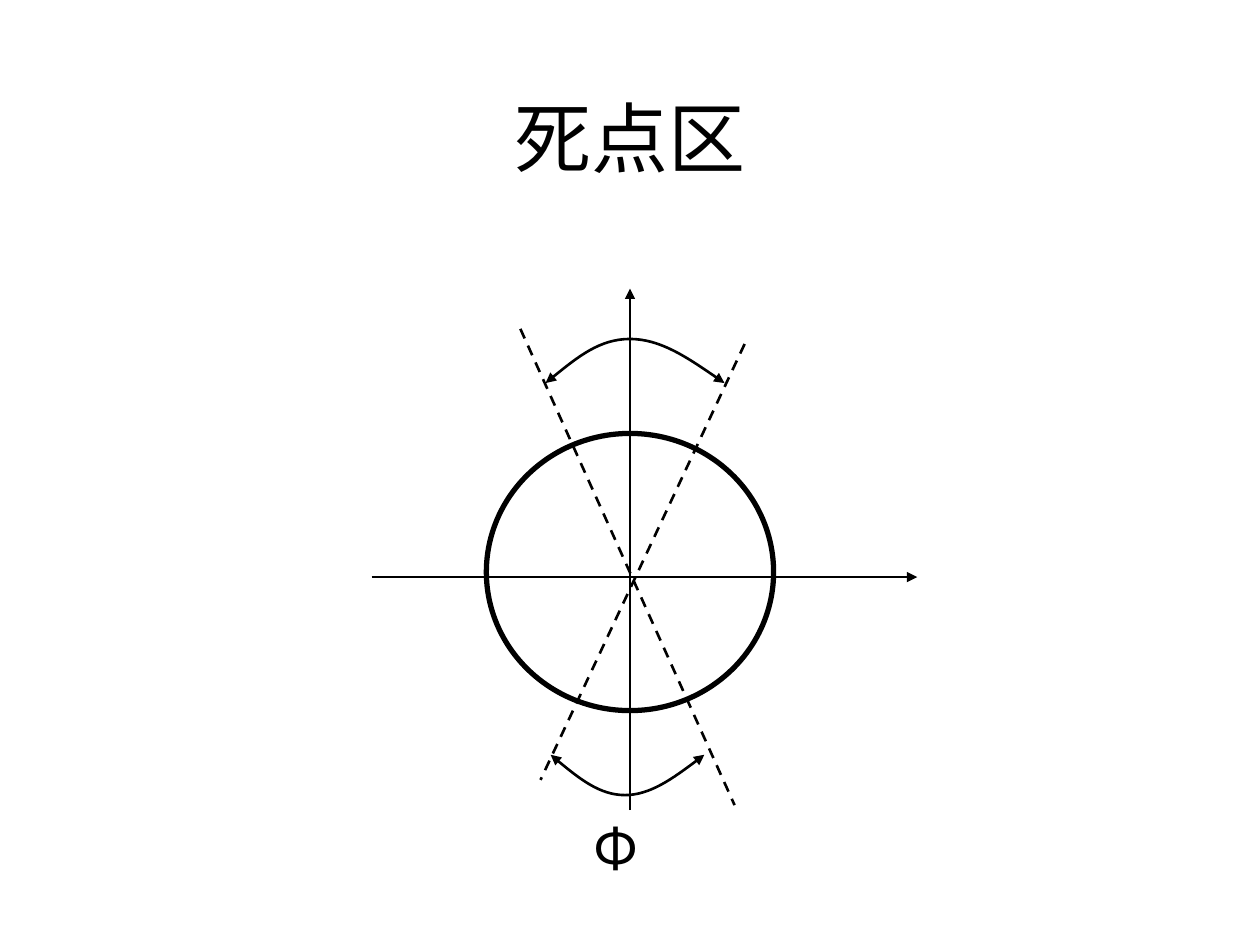
"""Draw the dead-point zone of a crank circle on a grid of 100 columns by 75 rows."""
from lxml import etree
from pptx import Presentation, util as u
from pptx.dml.color import RGBColor
from pptx.enum import dml, shapes, text
from pptx.oxml.ns import qn

BLACK = RGBColor(0, 0, 0)
WHITE = RGBColor(255, 255, 255)

deck = Presentation()
deck.slide_width, deck.slide_height = u.Inches(10), u.Inches(7.5)
unit = deck.slide_width // 100
slide = deck.slides.add_slide(deck.slide_layouts[6])
parts = slide.shapes


def grid(*cells):
    return [round(cell * unit) for cell in cells]


def stroke(shape, ends=(), width=1.5):
    shape.line.color.rgb = BLACK
    shape.line.width = u.Pt(width)
    for end in ends:
        etree.SubElement(shape.line._get_or_add_ln(), qn(f"a:{end}"), type="triangle")


title = parts.add_textbox(*grid(7.5, 6.7, 85, 12.5)).text_frame
title.word_wrap = True
head = title.paragraphs[0]
head.text = "死点区"
head.alignment = text.PP_ALIGN.CENTER
head.font.size, head.font.name = u.Pt(44), "Calibri"
head.font.color.rgb = BLACK

wheel = parts.add_shape(shapes.MSO_SHAPE.OVAL, *grid(38.6, 34.4, 22.8, 22))
wheel.shadow.inherit = False
wheel.fill.solid()
wheel.fill.fore_color.rgb = WHITE
stroke(wheel, width=3)

lines = [
    ((50, 64.3, 50, 22.9), True),
    ((29.5, 45.8, 72.8, 45.8), True),
    ((59.1, 27.3, 42.9, 61.9), False),
    ((41.3, 26.1, 58.3, 63.9), False),
]
for ends, axis in lines:
    line = parts.add_connector(shapes.MSO_CONNECTOR.STRAIGHT, *grid(*ends))
    stroke(line, ["tailEnd"] if axis else [])
    if not axis:
        line.line.dash_style = dml.MSO_LINE.DASH
    etree.SubElement(line._element.spPr, qn("a:effectLst"))

arcs = [
    [(43.3, 30.4), (45.5, 28.6), (47.6, 26.9), (50, 26.9),
     (52.4, 26.9), (54.9, 28.6), (57.5, 30.4)],
    [(43.7, 59.9), (45.6, 61.5), (47.6, 63.1), (49.6, 63.1),
     (51.6, 63.1), (53.8, 61.5), (55.9, 59.9)],
]
for points in arcs:
    pen = parts.build_freeform(*grid(*points[0]))
    pen.add_line_segments([grid(*point) for point in points[1:]], close=False)
    arc = pen.convert_to_shape()
    arc.shadow.inherit = False
    arc.fill.background()
    stroke(arc, ["headEnd", "tailEnd"])
    track = arc._element.find(".//" + qn("a:path"))
    steps = track.findall(qn("a:lnTo"))
    for start in (0, 3):
        curve = etree.SubElement(track, qn("a:cubicBezTo"))
        for step in steps[start:start + 3]:
            curve.append(step[0])
            track.remove(step)

label = parts.add_shape(shapes.MSO_SHAPE.RECTANGLE, *grid(46.1, 65.1, 7.9, 4.3))
label.shadow.inherit = False
label.fill.solid()
label.fill.fore_color.rgb = WHITE
label.line.fill.background()
frame = label.text_frame
frame.word_wrap = False
frame.vertical_anchor = text.MSO_ANCHOR.MIDDLE
frame.margin_top = frame.margin_bottom = 0
phi = frame.paragraphs[0]
phi.text = "Φ"
phi.alignment = text.PP_ALIGN.LEFT
indent = grid(3.8)[0]
props = phi._p.get_or_add_pPr()
props.set("marL", str(indent))
props.set("indent", str(-indent))
phi.font.size, phi.font.name = u.Pt(32), "Noto Sans CJK SC"
phi.font.color.rgb = BLACK

deck.save("out.pptx")
